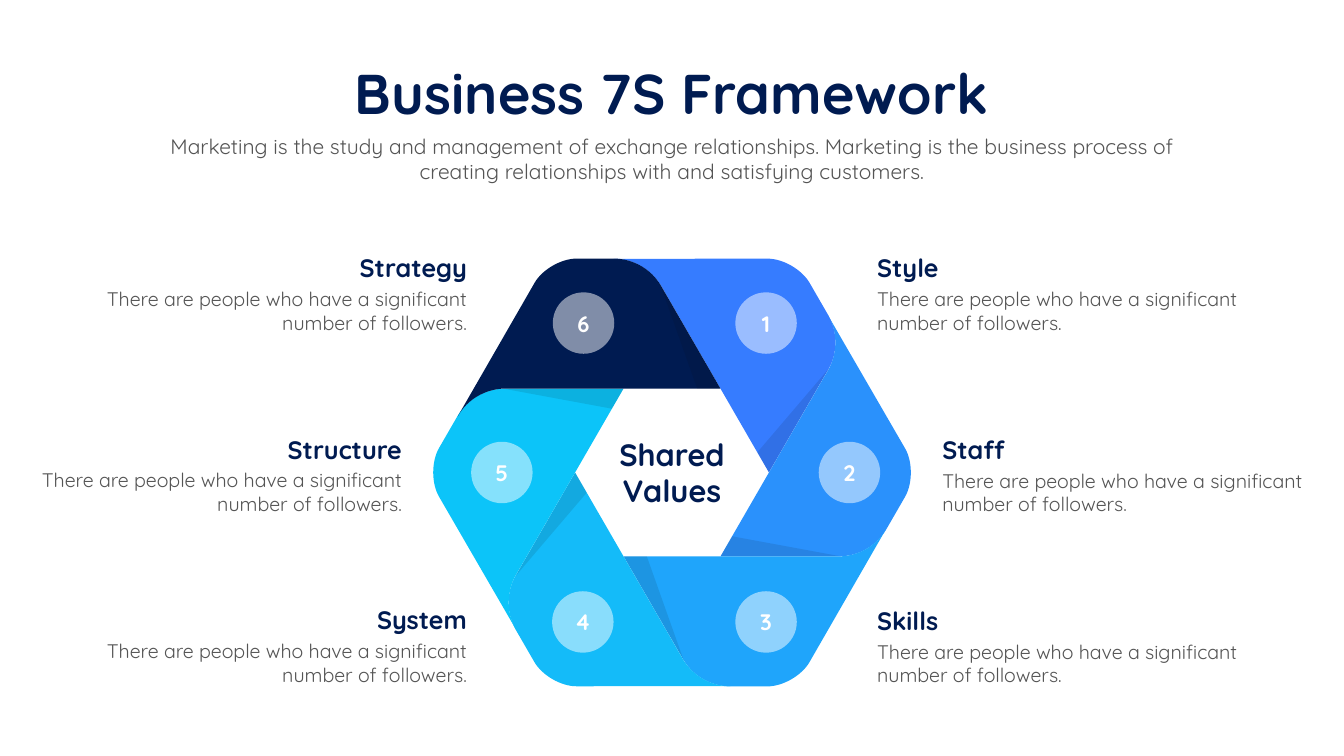
import math

import pptx
import pptx.dml.color
import pptx.enum.shapes
import pptx.enum.text
import pptx.oxml.ns
import pptx.util
from lxml import etree

Pt = pptx.util.Pt
qn = pptx.oxml.ns.qn
ALIGN = pptx.enum.text.PP_ALIGN
ANCHOR = pptx.enum.text.MSO_ANCHOR
FONT = "Quicksand"
NAVY, GREY, WHITE, SHADE = "001B51", "545454", "FFFFFF", "0D0D0D"
WIDTH, HEIGHT = 1919.5, 1080
CENTRE = (959.8, 675)
BADGE = 87.8
BODY = "There are people who have a significant number of followers."

FOLD, TIP = (-16.6, -268.2), (69.1, -119.9)
BLADE_CURVES = [
    (FOLD, (-30.2, -290.5), (-55.4, -305.6), (-83.5, -305.6)),
    ((-136.1, -305.6), (-158.4, -305.6), (-185.8, -289.8), (-196.6, -270.4)),
    ((-306, -80.3), (-292.3, -104.8), (-267.1, -118.4), (-241.2, -119.9)),
]
FOLD_SHADE = [FOLD, (36, -119.9), TIP]

ITEMS = [
    ("1", "Style", "367CFF", (134.3, -213.5), (1245.6, 357.5)),
    ("2", "Staff", "2A91FC", (253.4, 0), (1338.7, 616.6)),
    ("3", "Skills", "1FA5FB", (134.3, 213.5), (1245.6, 860.7)),
    ("4", "System", "14BBF9", (-127.4, 213.5), (128, 860.4)),
    ("5", "Structure", "0CC4F9", (-243, 0), (35.2, 616.3)),
    ("6", "Strategy", "001B51", (-126.4, -213.5), (128, 357.1)),
]


def rgb(colour):
    """Turn a hex string into a colour."""
    return pptx.dml.color.RGBColor.from_string(colour)


def paint(s, colour, opacity=100):
    """Fill a shape without line or shadow, at a percentage of opacity."""
    s.shadow.inherit = False
    s.line.fill.background()
    s.fill.solid()
    s.fill.fore_color.rgb = rgb(colour)
    if opacity < 100:
        clr = s.fill._xPr.find(".//" + qn("a:srgbClr"))
        etree.SubElement(clr, qn("a:alpha"), val=str(opacity * 1000))


def write(s, text, size, colour, align, bold=False):
    """Put one formatted paragraph into a shape."""
    tf = s.text_frame
    tf.text = text
    p = tf.paragraphs[0]
    p.alignment = align
    font = p.runs[0].font
    font.name, font.size, font.bold = FONT, Pt(size), bold
    font.color.rgb = rgb(colour)


def add_text(slide, box, text, size, colour, align, bold=False, wrap=True):
    """Add a text box at left, top, width, height."""
    s = slide.shapes.add_textbox(*map(Pt, box))
    write(s, text, size, colour, align, bold)
    s.text_frame.word_wrap = wrap
    s.text_frame.auto_size = pptx.enum.text.MSO_AUTO_SIZE.SHAPE_TO_FIT_TEXT
    return s


def add_outline(slide, centre, points, degrees, colour, opacity=100):
    """Draw a closed outline turned clockwise about a centre."""
    cos, sin = math.cos(math.radians(degrees)), math.sin(math.radians(degrees))
    turned = [(Pt(centre[0] + x * cos - y * sin), Pt(centre[1] + x * sin + y * cos))
              for x, y in points]
    builder = slide.shapes.build_freeform(*turned[0])
    builder.add_line_segments(turned[1:], close=True)
    s = builder.convert_to_shape()
    paint(s, colour, opacity)
    return s


def round_corners(s):
    """Merge the three lines of each corner into one cubic curve."""
    lines = list(s._element.iter(qn("a:lnTo")))
    for i in range(0, 4 * len(BLADE_CURVES), 4):
        curve = etree.Element(qn("a:cubicBezTo"))
        lines[i].addprevious(curve)
        for line in lines[i:i + 3]:
            curve.append(line[0])
            line.getparent().remove(line)


def add_header(slide, box):
    """Add the title and the subtitle below it."""
    left, top, width, height = box
    add_text(slide, (left + 270.7, top, width - 541.4, 104.4), "Business 7S Framework",
             80, NAVY, ALIGN.CENTER, True, False)
    add_text(slide, (left, top + 107, width, height - 107),
             "Marketing is the study and management of exchange relationships. "
             "Marketing is the business process of creating relationships with "
             "and satisfying customers.", 30, GREY, ALIGN.CENTER)


def add_wheel(slide, centre):
    """Add six folded blades, their numbers and the hub label."""
    x, y = centre
    outline = [point for curve in BLADE_CURVES for point in curve] + [TIP]
    for number, _, colour, _, _ in ITEMS:
        degrees = 60 * int(number)
        round_corners(add_outline(slide, centre, outline, degrees, colour))
        add_outline(slide, centre, FOLD_SHADE, degrees, SHADE, 10)
    for number, _, _, (dx, dy), _ in ITEMS:
        s = slide.shapes.add_shape(pptx.enum.shapes.MSO_SHAPE.OVAL,
                                   Pt(x + dx - BADGE / 2), Pt(y + dy - BADGE / 2),
                                   Pt(BADGE), Pt(BADGE))
        paint(s, WHITE, 50)
        write(s, number, 32, WHITE, ALIGN.CENTER, True)
        s.text_frame.vertical_anchor = ANCHOR.MIDDLE
    s = add_text(slide, (x - 98.3, y - 53.8, 196.6, 106.6), "Shared Values",
                 44, NAVY, ALIGN.CENTER, True)
    tf = s.text_frame
    tf.vertical_anchor = ANCHOR.MIDDLE
    tf.margin_left = tf.margin_right = tf.margin_top = tf.margin_bottom = 0


def add_item(slide, box, title, align):
    """Add a heading and its description, aligned to one side of the box."""
    left, top, width, height = box
    title_width = 385.2
    title_left = left + width - title_width if align == ALIGN.RIGHT else left
    add_text(slide, (title_left, top, title_width, 51.1), title, 36, NAVY, align, True)
    add_text(slide, (left, top + 49.3, width, height - 49.3), BODY, 28, GREY, align)


def main():
    """Build the slide."""
    prs = pptx.Presentation()
    prs.slide_width, prs.slide_height = Pt(WIDTH), Pt(HEIGHT)
    slide = prs.slides.add_slide(prs.slide_layouts[6])
    add_wheel(slide, CENTRE)
    for _, title, _, (dx, _), (left, top) in ITEMS:
        align = ALIGN.LEFT if dx > 0 else ALIGN.RIGHT
        add_item(slide, (left, top, 545.8, 124.2), title, align)
    add_header(slide, (210.2, 80.6, 1499, 186.9))
    prs.save("out.pptx")


if __name__ == "__main__":
    main()
